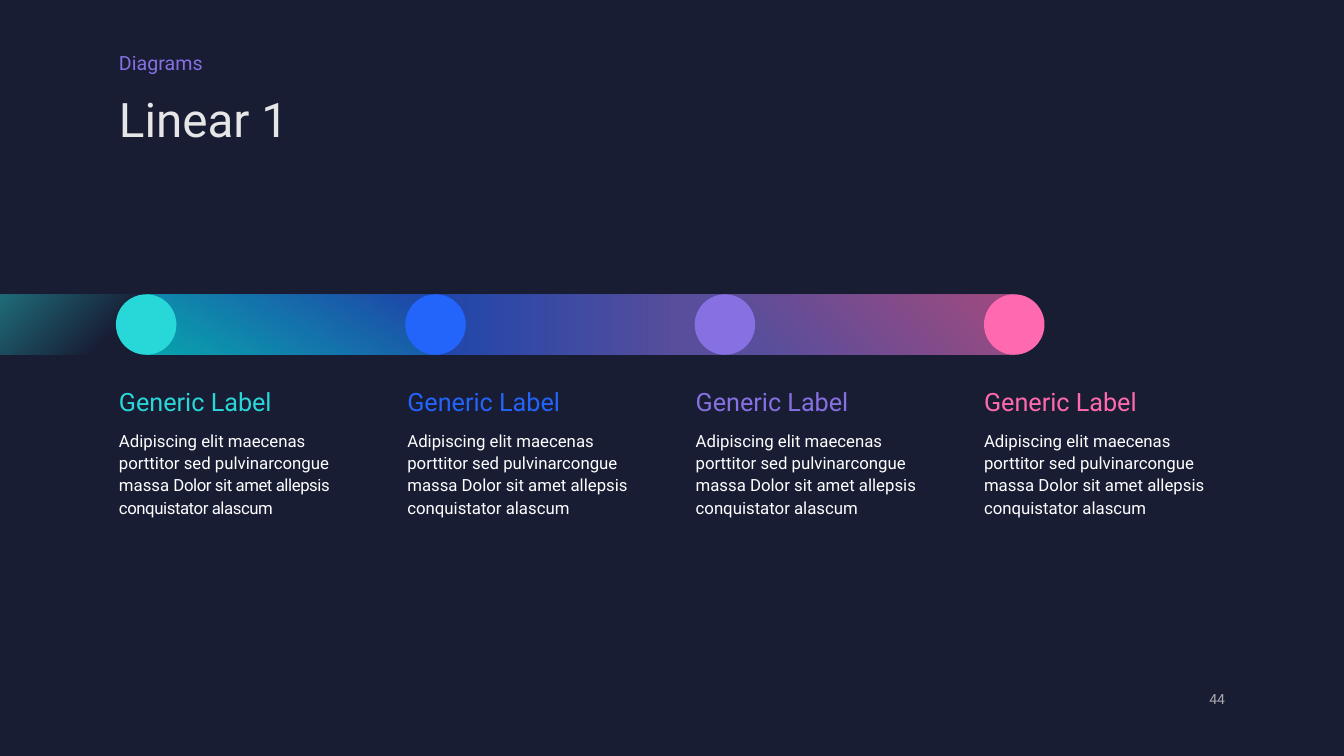
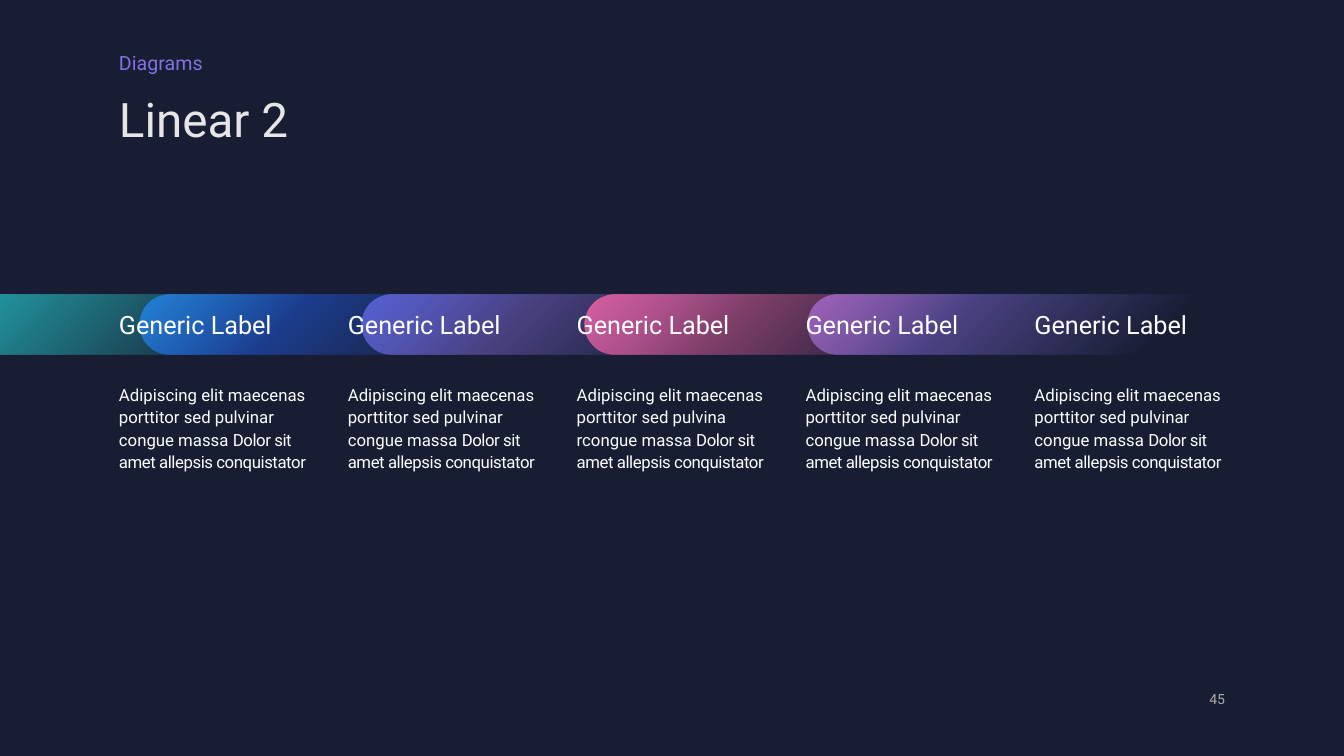
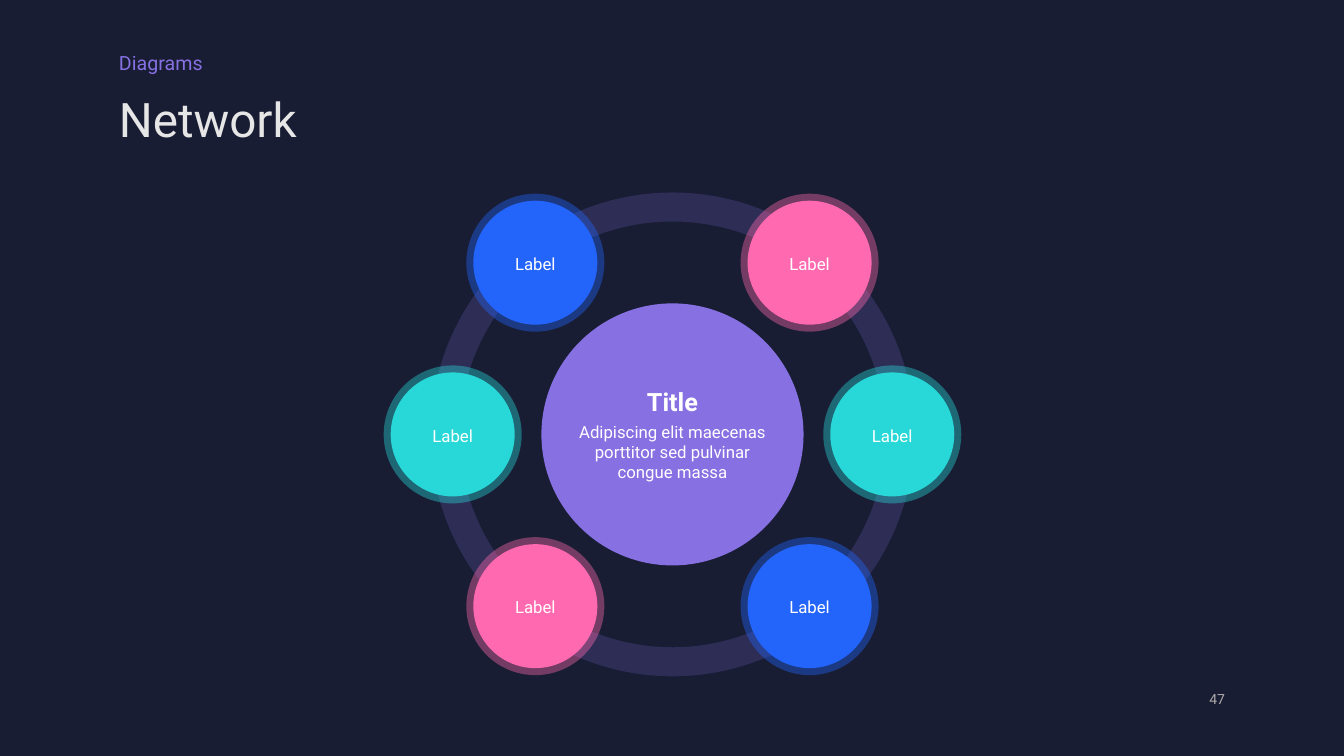
from collections import namedtuple
from itertools import cycle
from math import cos, radians, sin

from lxml.etree import SubElement
from pptx import Presentation
from pptx.dml.color import RGBColor
from pptx.enum.shapes import MSO_SHAPE as Preset
from pptx.enum.text import MSO_ANCHOR as Anchor, MSO_AUTO_SIZE as AutoSize, PP_ALIGN as Align
from pptx.oxml import parse_xml
from pptx.oxml.ns import nsdecls, qn
from pptx.util import Inches, Pt

Box = namedtuple("Box", "left top width height")

# Shared look
FONT = "Roboto"
NAVY, WHITE, LIGHT, GREY = "181D34", "FFFFFF", "E7E6E6", "AFABAB"
TEAL, BLUE, PURPLE, PINK = "28D7D7", "2364FA", "8670E2", "FF69AF"
MARGIN = 1.18
SECTION_BOX = Box(MARGIN, 0.48, 5.26, 0.25)
TITLE_BOX = Box(MARGIN, 0.96, 9.76, 0.76)
NUMBER_BOX = Box(11.57, 6.75, 0.58, 0.27)
BAND_TOP, BAND_HEIGHT = 2.92, 0.6
TEXT_TOP = 3.8


def rgb(color):
    return RGBColor.from_string(color)


def inches(box):
    return [Inches(length) for length in box]


def add_paragraph(frame, text, tight="", size=12, color=WHITE, bold=False,
                  align=Align.LEFT, line_spacing=1.1, space_after=9):
    """Append a paragraph; the words in tight are set slightly closer."""
    first = frame.paragraphs[0]
    paragraph = frame.add_paragraph() if first.runs else first
    paragraph.alignment = align
    paragraph.line_spacing = line_spacing
    paragraph.space_before = Pt(0)
    paragraph.space_after = Pt(space_after)
    for words, spacing in ((text, None), (tight, "-30")):
        if not words:
            continue
        run = paragraph.add_run()
        run.text = words
        run.font.name, run.font.size, run.font.bold = FONT, Pt(size), bold
        run.font.color.rgb = rgb(color)
        if spacing:
            run.font._element.set("spc", spacing)


def prepare_frame(shape, anchor=Anchor.TOP, wrap=True):
    frame = shape.text_frame
    frame.auto_size = AutoSize.NONE
    frame.word_wrap = wrap
    frame.vertical_anchor = anchor
    frame.margin_left = frame.margin_right = frame.margin_top = frame.margin_bottom = 0
    return frame


def add_text_frame(slide, box, **frame_format):
    return prepare_frame(slide.shapes.add_textbox(*inches(box)), **frame_format)


def set_alpha(color_format_parent, percent):
    color = color_format_parent.find(".//" + qn("a:srgbClr"))
    SubElement(color, qn("a:alpha")).set("val", str(percent * 1000))


def add_preset(slide, preset, box, color=None, alpha=None):
    shape = slide.shapes.add_shape(preset, *inches(box))
    shape.shadow.inherit = False
    shape.line.fill.background()
    if color:
        shape.fill.solid()
        shape.fill.fore_color.rgb = rgb(color)
        if alpha is not None:
            set_alpha(shape._element.spPr.find(qn("a:solidFill")), alpha)
    return shape


def set_gradient(shape, stops, angle=None):
    """Stops are (position, color, alpha); no angle means a glow from the far corner."""
    marks = "".join(
        f'<a:gs pos="{position * 1000}"><a:srgbClr val="{color}">'
        f'<a:alpha val="{alpha * 1000}"/></a:srgbClr></a:gs>'
        for position, color, alpha in stops)
    if angle is None:
        shading = '<a:path path="circle"><a:fillToRect l="100000" t="100000"/></a:path>'
    else:
        shading = f'<a:lin ang="{angle * 60000}" scaled="0"/>'
    shape.fill.background()
    properties = shape._element.spPr
    properties.replace(properties.find(qn("a:noFill")), parse_xml(
        f'<a:gradFill {nsdecls("a")} rotWithShape="1"><a:gsLst>{marks}</a:gsLst>'
        f'{shading}</a:gradFill>'))


def set_fade(shape, color):
    set_gradient(shape, [(18, color, 0), (100, color, 80)])


def add_page(presentation, title, number):
    """Slide with section name, title and page number."""
    slide = presentation.slides.add_slide(presentation.slide_layouts[0])
    section = slide.placeholders[1]
    for placeholder, box in ((slide.shapes.title, TITLE_BOX), (section, SECTION_BOX)):
        placeholder.left, placeholder.top, placeholder.width, placeholder.height = inches(box)
    add_paragraph(prepare_frame(section), "Diagrams", size=14, color=PURPLE)
    add_paragraph(prepare_frame(slide.shapes.title), title, size=34, color=LIGHT,
                  line_spacing=0.9, space_after=0)
    add_paragraph(add_text_frame(slide, NUMBER_BOX, anchor=Anchor.BOTTOM), str(number),
                  size=10, color=GREY, align=Align.RIGHT, line_spacing=1, space_after=4)
    return slide


def add_milestones(slide, box):
    """Band of gradient bars joined by dots, one per column."""
    step, dot = 2.87, box.height
    # Bars run from dot centre to dot centre
    bars = [([(7, "2367F8", 60), (99, "00FFFF", 60)], 120),
            ([(0, BLUE, 60), (85, PURPLE, 60)], 0),
            ([(0, PINK, 60), (85, PURPLE, 60)], 135)]
    for index, (stops, angle) in enumerate(bars):
        left = box.left + dot / 2 + index * step
        bar = add_preset(slide, Preset.RECTANGLE, Box(left, box.top, step, dot))
        set_gradient(bar, stops, angle)
    lead_in = add_preset(slide, Preset.RECTANGLE,
                         Box(box.left + dot / 2 - 2.75, box.top, 2.8, dot))
    set_fade(lead_in, TEAL)
    for index, color in enumerate((TEAL, BLUE, PURPLE, PINK)):
        add_preset(slide, Preset.OVAL,
                   Box(box.left + index * step, box.top, dot, dot), color)


def add_milestone_texts(slide, box):
    start = "Adipiscing elit maecenas porttitor sed pulvinarcongue massa "
    end = "Dolor sit amet allepsis conquistator alascum"
    step = 2.86
    for index, color in enumerate((TEAL, BLUE, PURPLE, PINK)):
        frame = add_text_frame(slide, box._replace(left=box.left + index * step))
        add_paragraph(frame, "Generic Label", size=18, color=color)
        if index == 0:
            add_paragraph(frame, start, tight=end)
        else:
            add_paragraph(frame, start + end)


def add_fading_pills(slide, box):
    """Overlapping pills, listed from back to front by column."""
    step = 2.21
    for column, color in ((4, PURPLE), (2, PURPLE), (1, BLUE), (0, TEAL), (3, PINK)):
        pill = add_preset(slide, Preset.ROUNDED_RECTANGLE,
                          box._replace(left=box.left + column * step))
        pill.adjustments[0] = 0.5
        set_fade(pill, color)


def add_pill_texts(slide, box):
    step = 2.27
    words = ["pulvinar congue"] * 5
    words[2] = "pulvina rcongue"
    for index, middle in enumerate(words):
        column = box._replace(left=box.left + index * step)
        label = add_text_frame(slide, column._replace(top=BAND_TOP + 0.15, height=0.3),
                               wrap=False)
        add_paragraph(label, "Generic Label", size=18, line_spacing=1, space_after=4)
        add_paragraph(add_text_frame(slide, column),
                      f"Adipiscing elit maecenas porttitor sed {middle} massa ",
                      tight="Dolor sit amet allepsis conquistator")


def add_network(slide, box):
    """Ring with a hub and six labelled nodes, inside a square box."""
    center_x, center_y = box.left + box.width / 2, box.top + box.height / 2

    def centered(width, height, x=center_x, y=center_y):
        return Box(x - width / 2, y - height / 2, width, height)

    # Ring and hub
    ring = add_preset(slide, Preset.DONUT, box, PURPLE, alpha=20)
    ring.adjustments[0] = 0.06
    add_preset(slide, Preset.OVAL, centered(2.6, 2.6), PURPLE)
    hub = add_text_frame(slide, centered(2.05, 0.96))
    hub_format = dict(align=Align.CENTER, line_spacing=1, space_after=4)
    add_paragraph(hub, "Title", size=18, bold=True, **hub_format)
    add_paragraph(hub, "Adipiscing elit maecenas porttitor sed pulvinar congue massa",
                  **hub_format)

    # Nodes, clockwise from the right
    reach, tilt, size = 2.18, 51.4, 1.23
    angles = (0, tilt, 180 - tilt, 180, 180 + tilt, 360 - tilt)
    for angle, color in zip(angles, cycle((TEAL, BLUE, PINK))):
        node_box = centered(size, size, center_x + reach * cos(radians(angle)),
                            center_y + reach * sin(radians(angle)))
        node = add_preset(slide, Preset.OVAL, node_box, color)
        node.line.color.rgb = rgb(color)
        node.line.width = Pt(10)
        set_alpha(node._element.spPr.find(qn("a:ln")), 40)
        add_paragraph(prepare_frame(node, anchor=Anchor.MIDDLE), "Label",
                      align=Align.CENTER, space_after=0)


def main():
    presentation = Presentation()
    presentation.slide_width, presentation.slide_height = Inches(13.33), Inches(7.5)
    background = presentation.slide_master.background.fill
    background.solid()
    background.fore_color.rgb = rgb(NAVY)

    slide = add_page(presentation, "Linear 1", 44)
    add_milestones(slide, Box(1.15, BAND_TOP, 9.22, BAND_HEIGHT))
    add_milestone_texts(slide, Box(MARGIN, TEXT_TOP, 2.4, 1.33))

    slide = add_page(presentation, "Linear 2", 45)
    add_fading_pills(slide, Box(-0.83, BAND_TOP, 4.16, BAND_HEIGHT))
    add_pill_texts(slide, Box(MARGIN, TEXT_TOP, 1.9, 0.88))

    slide = add_page(presentation, "Network", 47)
    add_network(slide, Box(4.27, 1.91, 4.8, 4.8))

    presentation.save("out.pptx")


if __name__ == "__main__":
    main()
